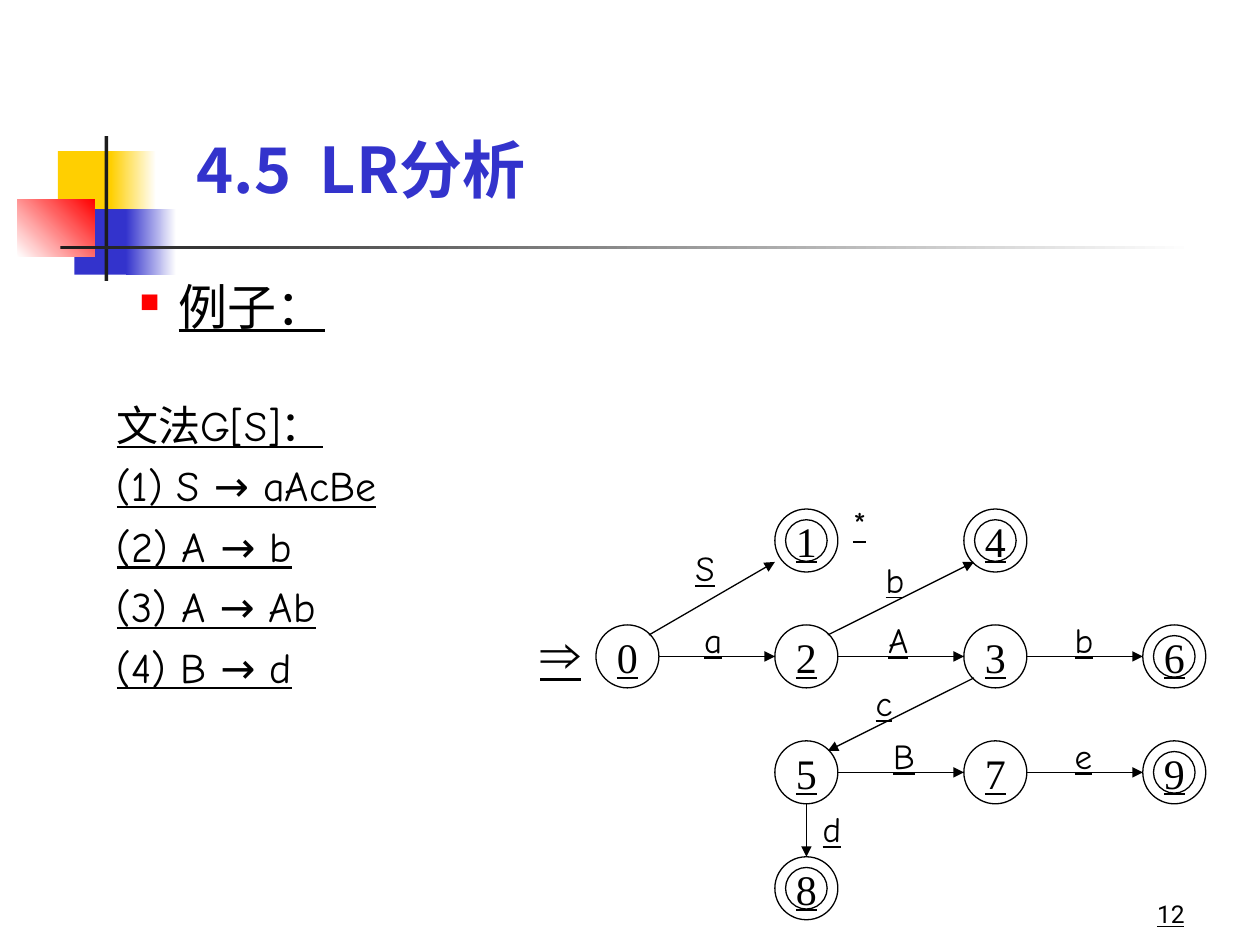
import dataclasses
import pptx
import pptx.dml.color
import pptx.enum.shapes
import pptx.enum.text
import pptx.oxml
import pptx.oxml.ns
import pptx.util

Inches, Pt = pptx.util.Inches, pptx.util.Pt
SHAPE = pptx.enum.shapes.MSO_SHAPE
ANCHOR = pptx.enum.text.MSO_ANCHOR
ALIGN = pptx.enum.text.PP_ALIGN
FIT = pptx.enum.text.MSO_AUTO_SIZE


def rgb(color):
    return pptx.dml.color.RGBColor.from_string(color)


def add_xml(parent, tag, attributes="", inner=""):
    ns = pptx.oxml.ns.nsdecls("a")
    parent.append(pptx.oxml.parse_xml(f"<a:{tag} {ns} {attributes}>{inner}</a:{tag}>"))


@dataclasses.dataclass(frozen=True)
class Theme:
    ink: str = "000000"
    blue: str = "3333CC"
    yellow: str = "FFCF01"
    red: str = "FF0000"
    dark: str = "1C1C1C"
    white: str = "FFFFFF"
    line: float = 0.75
    title: tuple = ("Noto Sans CJK SC", 36)
    example: tuple = ("Roboto", 28)
    grammar: tuple = ("Comic Neue", 24)
    state: tuple = ("Times New Roman", 24)
    label: tuple = ("Comic Neue", 20)
    start: tuple = ("Arial", 32)
    number: tuple = ("Roboto", 14)


class Builder:
    def __init__(self, slide, theme):
        self.s, self.theme = slide, theme

    def set_text(self, tf, text, style, **formats):
        """Fill the first paragraph; a vertical tab in text is a line break."""
        name, size = style
        font = dict(name=name, size=Pt(size), bold=False, underline=True)
        color = formats.pop("color", self.theme.ink)
        font.update(formats)
        p = tf.paragraphs[0]
        p.text = text
        for r in p.runs:
            for key, value in font.items():
                setattr(r.font, key, value)
            r.font.color.rgb = rgb(color)
            add_xml(r._r.get_or_add_rPr(), "ea", f'typeface="{name}"')
        return p

    def title(self, box, text):
        sp = self.s.shapes.title
        for key, value in zip(("left", "top", "width", "height"), box):
            setattr(sp, key, Inches(value))
        tf = sp.text_frame
        tf.auto_size, tf.vertical_anchor = FIT.NONE, ANCHOR.BOTTOM
        p = self.set_text(tf, text, self.theme.title, bold=True,
                          underline=False, color=self.theme.blue)
        p.alignment = ALIGN.LEFT

    def text(self, box, text, style, wrap=True, anchor=ANCHOR.TOP):
        tf = self.s.shapes.add_textbox(*map(Inches, box)).text_frame
        tf.word_wrap, tf.vertical_anchor = wrap, anchor
        return self.set_text(tf, text, style)

    def bar(self, box, *colors, angle=0):
        """Borderless rectangle, solid for one colour and graded for two."""
        sp = self.s.shapes.add_shape(SHAPE.RECTANGLE, *map(Inches, box))
        sp.shadow.inherit = False
        sp.line.fill.background()
        if len(colors) == 1:
            sp.fill.solid()
            sp.fill.fore_color.rgb = rgb(colors[0])
            return
        sp.fill.gradient()
        sp.fill.gradient_angle = angle
        for stop, color in zip(sp.fill.gradient_stops, colors):
            stop.color.rgb = rgb(color)

    def ring(self, center, size):
        x, y = center
        sp = self.s.shapes.add_shape(
            SHAPE.OVAL, Inches(x - size / 2), Inches(y - size / 2), Inches(size), Inches(size))
        sp.shadow.inherit = False
        sp.fill.background()
        sp.line.color.rgb = rgb(self.theme.ink)
        sp.line.width = Pt(self.theme.line)
        return sp

    def state(self, center, name, final):
        tf = self.ring(center, 0.5).text_frame
        tf.word_wrap, tf.vertical_anchor = False, ANCHOR.MIDDLE
        p = self.set_text(tf, name, self.theme.state)
        p.alignment = ALIGN.CENTER
        if final:
            self.ring(center, 0.33)

    def arrow(self, start, end):
        c = self.s.shapes.add_connector(
            pptx.enum.shapes.MSO_CONNECTOR.STRAIGHT, *map(Inches, (*start, *end)))
        c.line.color.rgb = rgb(self.theme.ink)
        c.line.width = Pt(self.theme.line)
        spPr = c._element.spPr
        add_xml(spPr.get_or_add_ln(), "tailEnd", 'type="triangle"')
        add_xml(spPr, "effectLst")


COLUMNS = (4.98, 6.4, 7.9, 9.32)
ROW_TOP, ROW_STEP = 4.29, 0.92
# state: (column, row)
STATES = {"0": (0, 1), "1": (1, 0), "4": (2, 0), "2": (1, 1), "3": (2, 1),
          "5": (1, 2), "7": (2, 2), "6": (3, 1), "9": (3, 2), "8": (1, 3)}
FINAL = "14698"
# offsets from a state's centre to points on its edge
EDGE = {"E": (0.25, 0), "W": (-0.25, 0), "N": (0, -0.25), "S": (0, 0.25),
        "NE": (0.17, -0.17), "SW": (-0.17, 0.17), "WSW": (-0.25, 0.17)}
# from, side, to, side, symbol, left and top of the symbol
MOVES = [
    ("0", "E", "2", "W", "a", 5.49, 4.86),
    ("2", "E", "3", "W", "A", 6.95, 4.86),
    ("3", "E", "6", "W", "b", 8.43, 4.86),
    ("5", "E", "7", "W", "B", 6.99, 5.78),
    ("7", "E", "9", "W", "e", 8.43, 5.78),
    ("0", "NE", "1", "WSW", "S", 5.42, 4.29),
    ("2", "NE", "4", "SW", "b", 6.93, 4.38),
    ("3", "SW", "5", "NE", "c", 6.85, 5.36),
    ("5", "S", "8", "N", "d", 6.43, 6.36),
]


def center(state):
    column, row = STATES[state]
    return COLUMNS[column], ROW_TOP + row * ROW_STEP


def edge(state, side):
    return [a + b for a, b in zip(center(state), EDGE[side])]


def add_decoration(b):
    t = b.theme
    b.bar((0.46, 1.2, 0.48, 0.52), t.yellow)
    b.bar((0.88, 1.2, 0.36, 0.52), t.yellow, t.white)
    b.bar((0.59, 1.66, 0.46, 0.52), t.blue)
    b.bar((1, 1.66, 0.4, 0.52), t.blue, t.white)
    b.bar((0.14, 1.58, 0.61, 0.46), t.white, t.red, angle=45)
    b.bar((0.83, 1.08, 0.03, 1.15), t.dark)
    b.bar((0.48, 1.95, 9, 0.03), t.dark, t.white)


def add_grammar(b):
    p = b.text((0.51, 2.1, 2.84, 0.55), "例子：", b.theme.example)
    p.level, p.line_spacing = 1, 1.1
    pPr = p._p.get_or_add_pPr()
    pPr.set("marL", str(Inches(0.81)))
    pPr.set("indent", str(Inches(-0.31)))
    add_xml(pPr, "buClr", inner=f'<a:srgbClr val="{b.theme.red}"/>')
    add_xml(pPr, "buSzPct", 'val="55000"')
    add_xml(pPr, "buChar", 'char="■"')

    rules = ["文法G[S]：", "(1) S → aAcBe", "(2) A → b", "(3) A → Ab", "(4) B → d"]
    p = b.text((0.83, 3.04, 2.84, 2.5), "\v".join(rules), b.theme.grammar)
    p.line_spacing, p.space_before = 1.2, Pt(15)


def add_automaton(b):
    for name in STATES:
        b.state(center(name), name, name in FINAL)
    for start, out, end, into, symbol, left, top in MOVES:
        b.arrow(edge(start, out), edge(end, into))
        b.text((left, top, 0.35, 0.44), symbol, b.theme.label, wrap=False)
    b.text((4.19, 4.85, 0.55, 0.64), "⇒", b.theme.start, wrap=False)
    b.text((6.67, 3.94, 0.31, 0.44), "*", b.theme.label, wrap=False)


def main():
    prs = pptx.Presentation()
    prs.slide_width, prs.slide_height = Inches(10), Inches(7.5)
    b = Builder(prs.slides.add_slide(prs.slide_layouts[5]), Theme())
    add_decoration(b)
    b.title((1.46, 0.76, 7.46, 0.93), "4.5  LR分析")
    add_grammar(b)
    add_automaton(b)
    p = b.text((7.42, 6.92, 2.08, 0.5), "12", b.theme.number, anchor=ANCHOR.BOTTOM)
    p.alignment = ALIGN.RIGHT
    prs.save("out.pptx")


if __name__ == "__main__":
    main()
